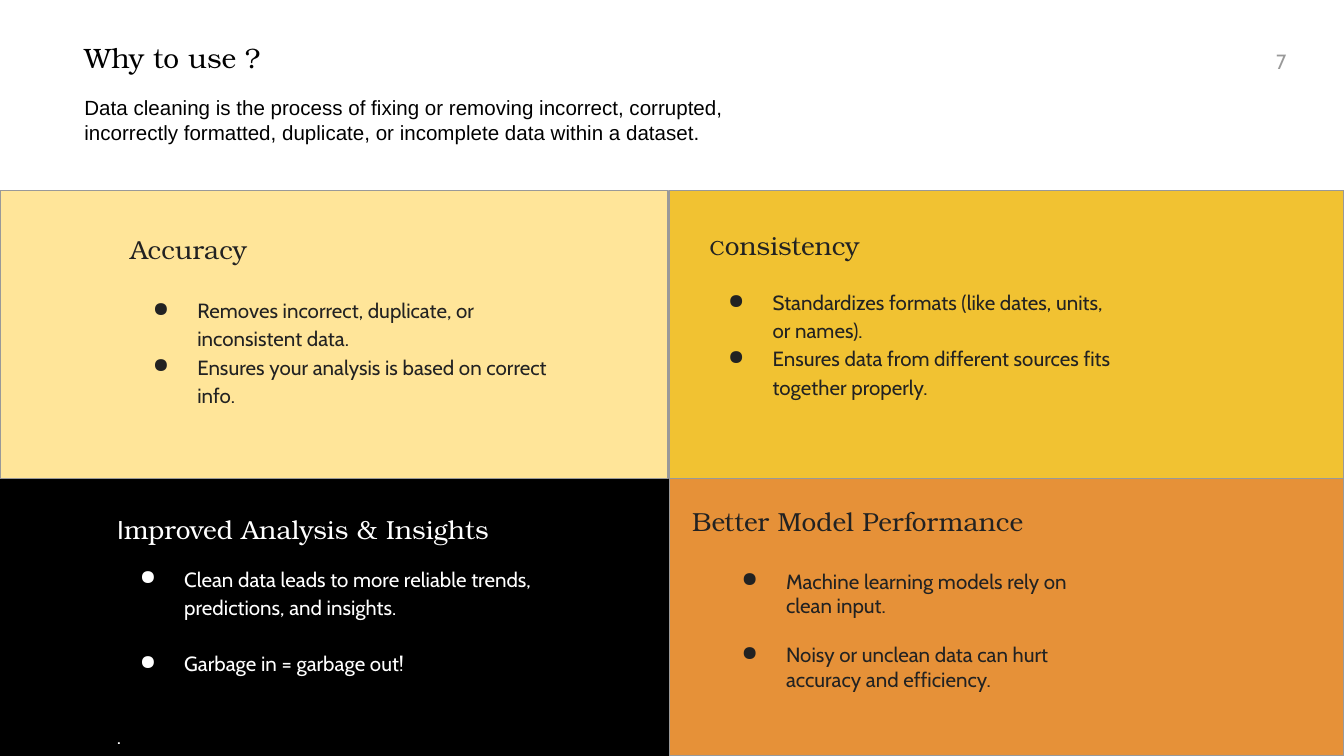
from lxml.etree import SubElement
from pptx import Presentation
from pptx.dml.color import RGBColor
from pptx.enum.shapes import MSO_SHAPE
from pptx.enum.text import MSO_ANCHOR, PP_ALIGN
from pptx.oxml.ns import qn
from pptx.util import Inches, Pt

BLACK = RGBColor(0x00, 0x00, 0x00)
WHITE = RGBColor(0xFF, 0xFF, 0xFF)
INK = RGBColor(0x22, 0x22, 0x22)
GREY = RGBColor(0x99, 0x99, 0x99)
CREAM = RGBColor(0xFF, 0xE5, 0x99)
GOLD = RGBColor(0xF1, 0xC2, 0x32)
ORANGE = RGBColor(0xE6, 0x91, 0x38)

SERIF, SANS, BODY = "TeX Gyre Bonum", "Arial", "Cabin"
COLUMNS = 100
PADDED, FLUSH = (1, 1, 1, 1), (0, 0, 0, 0)

# Each quadrant: fill, outline, text colour, panel box,
# heading (box, insets, runs), bullets (box, insets, format), items
QUADRANTS = [
    (BLACK, None, WHITE, (0, 35.4, 50, 20.85),
     ((8.7, 38.2, 38.1, 3.8), FLUSH,
      [("I", SANS, 14), ("mproved Analysis & Insights", SERIF, 14)]),
     ((8.7, 41.9, 35.8, 10.6), (0, 0, 2, 2), {"line_spacing": 1.15}, Pt(15)),
     ["Clean data leads to more reliable trends, predictions, and insights.",
      "Garbage in = garbage out!"]),
    (CREAM, GREY, INK, (0, 14.2, 49.7, 21.4),
     ((8.7, 16.4, 18.5, 3.7), PADDED, [("Accuracy", SERIF, 14)]),
     ((8.7, 20.9, 34, 11.8), PADDED, {"line_spacing": 1.15}, 0),
     ["Removes incorrect, duplicate, or inconsistent data.",
      "Ensures your analysis is based on correct info."]),
    (GOLD, GREY, INK, (49.8, 14.2, 50.2, 21.4),
     ((52.8, 17.1, 20.3, 3.8), FLUSH,
      [("C", SERIF, 11), ("onsistency", SERIF, 14)]),
     ((51.5, 20.3, 32.8, 10.3), PADDED, {"line_spacing": 1.15}, 0),
     ["Standardizes formats (like dates, units, or names).",
      "Ensures data from different sources fits together properly."]),
    (ORANGE, GREY, INK, (49.8, 35.6, 50.2, 20.65),
     ((51.5, 37.6, 38.1, 3.8), FLUSH,
      [("Better Model Performance", SERIF, 14)]),
     ((52.5, 41.3, 30.8, 11.8), PADDED, {}, Pt(13)),
     ["Machine learning models rely on clean input.",
      "Noisy or unclean data can hurt accuracy and efficiency."]),
]


class SlideBuilder:
    """Draws on one slide; boxes are (column, row, columns, rows) of square cells."""

    def __init__(self, prs):
        self.cell = prs.slide_width / COLUMNS
        self.s = prs.slides.add_slide(prs.slide_layouts[6])

    def cells(self, values):
        return [round(v * self.cell) for v in values]

    def panel(self, box, fill, outline):
        sp = self.s.shapes.add_shape(MSO_SHAPE.RECTANGLE, *self.cells(box))
        sp.shadow.inherit = False
        sp.fill.solid()
        sp.fill.fore_color.rgb = fill
        if outline is None:
            sp.line.fill.background()
        else:
            sp.line.color.rgb = outline
            sp.line.width = Pt(0.75)

    def frame(self, box, insets):
        tf = self.s.shapes.add_textbox(*self.cells(box)).text_frame
        tf.word_wrap = True
        tf.vertical_anchor = MSO_ANCHOR.TOP
        sides = ("margin_left", "margin_top", "margin_right", "margin_bottom")
        for side, inset in zip(sides, self.cells(insets)):
            setattr(tf, side, inset)
        return tf

    def fill_paragraph(self, p, runs, color, fmt):
        for name, value in fmt.items():
            setattr(p, name, value)
        for text, font, size in runs:
            r = p.add_run()
            r.text = text
            for name, value in {"name": font, "size": Pt(size)}.items():
                setattr(r.font, name, value)
            r.font.color.rgb = color

    def text(self, box, insets, runs, color, **fmt):
        tf = self.frame(box, insets)
        self.fill_paragraph(tf.paragraphs[0], runs, color, fmt)

    def bullets(self, box, insets, items, color, fmt, gap):
        """Adds a bulleted list, with gap between items, and returns its frame."""
        tf = self.frame(box, insets)
        for i, item in enumerate(items):
            p = tf.add_paragraph() if i else tf.paragraphs[0]
            pPr = p._p.get_or_add_pPr()
            pPr.set("marL", str(Inches(0.5)))
            pPr.set("indent", str(-Inches(0.33)))
            clr = SubElement(pPr, qn("a:buClr"))
            SubElement(clr, qn("a:srgbClr"), val=str(color))
            SubElement(pPr, qn("a:buChar"), char="●")
            spacing = {"space_before": gap} if i and gap else {}
            self.fill_paragraph(p, [(item, BODY, 11)], color, fmt | spacing)
        return tf


def main():
    prs = Presentation()
    prs.slide_width = Inches(10)
    prs.slide_height = prs.slide_width * 9 // 16
    slide = SlideBuilder(prs)

    slide.text((5.3, 2, 39.3, 3.7), PADDED, [("Why to use ?", SERIF, 15)], BLACK)
    slide.text((5.3, 6.1, 53.3, 6.6), PADDED,
               [("Data cleaning is the process of fixing or removing incorrect, "
                 "corrupted, incorrectly formatted, duplicate, or incomplete data "
                 "within a dataset.", SANS, 11)], BLACK)
    slide.text((92.9, 2.7, 3.8, 1.9), PADDED, [("7", BODY, 11)], GREY,
               alignment=PP_ALIGN.RIGHT)

    for fill, outline, color, box, heading, (area, insets, fmt, gap), items in QUADRANTS:
        slide.panel(box, fill, outline)
        slide.text(*heading, color)
        tf = slide.bullets(area, insets, items, color, fmt, gap)
        if fill == BLACK:
            slide.fill_paragraph(tf.add_paragraph(), [(".", BODY, 11)], color,
                                 fmt | {"space_before": Pt(24)})

    prs.save("out.pptx")


if __name__ == "__main__":
    main()
